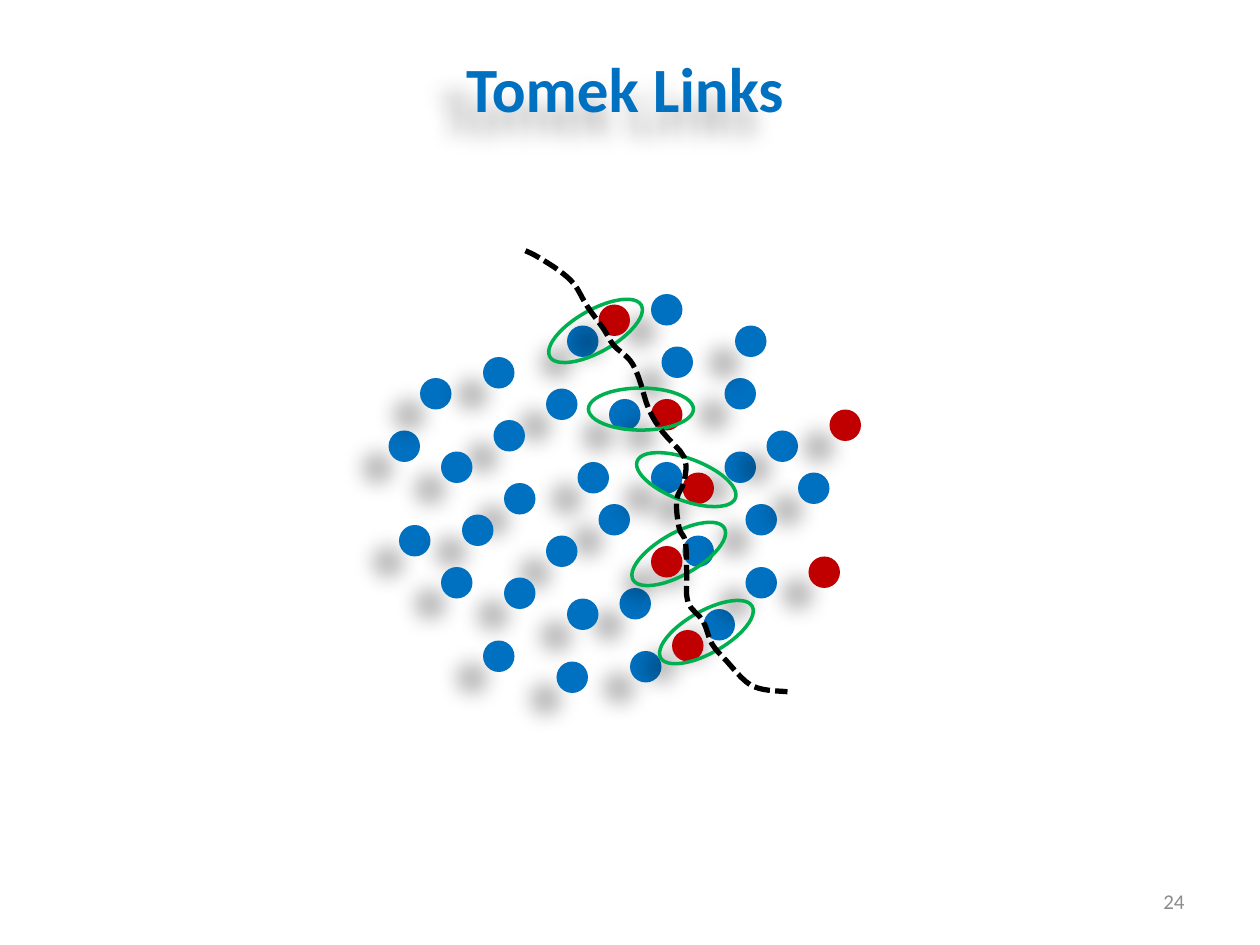
from lxml import etree
from pptx import Presentation
from pptx.dml.color import RGBColor
from pptx.enum.dml import MSO_LINE
from pptx.enum.shapes import MSO_SHAPE
from pptx.enum.text import MSO_ANCHOR, PP_ALIGN
from pptx.oxml.ns import qn
from pptx.util import Inches, Pt

OVAL = MSO_SHAPE.OVAL
DASH = MSO_LINE.SQUARE_DOT
TOP, MIDDLE = MSO_ANCHOR.TOP, MSO_ANCHOR.MIDDLE
CENTER, RIGHT = PP_ALIGN.CENTER, PP_ALIGN.RIGHT

BLUE = RGBColor(0x00, 0x70, 0xC0)
RED = RGBColor(0xC0, 0x00, 0x00)
GREEN = RGBColor(0x00, 0xB0, 0x50)
BLACK = RGBColor(0x00, 0x00, 0x00)
GRAY = RGBColor(0x8C, 0x8C, 0x8C)

GRID = 1 / 12
DOT_SIZE = 3 * GRID
LINK_WIDTH, LINK_HEIGHT = 10 * GRID, 4 * GRID
RISING, FALLING, LEVEL = 330.5, 20.6, 0
CURVE_STEPS = 4

SAMPLES = [
    (48, 46), (55, 44), (52, 37), (59, 56), (67, 58), (57, 48), (69, 43), (73, 41),
    (65, 51), (62, 28), (54, 31), (60, 62), (71, 48), (69, 36), (58, 38), (71, 54),
    (57, 29), (63, 33), (62, 44), (65, 45), (62, 38), (52, 51), (54, 57), (70, 31),
    (48, 55), (76, 45), (62, 52), (64, 60), (37, 41), (40, 36), (46, 34), (47, 40),
    (38, 50), (44, 49), (46, 61), (77, 53), (79, 39), (42, 43), (42, 54), (53, 63),
]
LINKED_MINORITY = {(57, 29), (62, 38), (65, 45), (62, 52), (64, 60)}
LONE_MINORITY = {(77, 53), (79, 39)}
MINORITY = LINKED_MINORITY | LONE_MINORITY

TOMEK_LINKS = [
    (4.31, 2.46, RISING), (5.03, 3.64, FALLING), (4.67, 3.08, LEVEL),
    (4.97, 4.23, RISING), (5.19, 4.85, RISING),
]

BOUNDARY_ANCHORS = [
    (4.17, 1.99), (4.27, 2.04), (4.44, 2.15), (4.56, 2.26), (4.66, 2.43),
    (4.79, 2.61), (4.87, 2.74), (5, 2.86), (5.07, 3), (5.15, 3.25),
    (5.26, 3.43), (5.43, 3.63), (5.43, 3.82), (5.37, 3.97), (5.39, 4.19),
    (5.44, 4.3), (5.45, 4.55), (5.46, 4.78), (5.58, 4.93), (5.65, 5.11),
    (5.77, 5.25), (5.92, 5.41), (6.05, 5.47), (6.25, 5.49),
]


def spline(a, b, c, d, t):
    return (2 * b + (c - a) * t + (2 * a - 5 * b + 4 * c - d) * t ** 2
            + (3 * b - a - 3 * c + d) * t ** 3) / 2


def smooth_curve(anchors, steps):
    padded = [anchors[0], *anchors, anchors[-1]]
    points = [anchors[0]]
    for segment in zip(padded, padded[1:], padded[2:], padded[3:]):
        xs, ys = zip(*segment)
        for step in range(1, steps + 1):
            t = step / steps
            points.append((spline(*xs, t), spline(*ys, t)))
    return points


class SlideBuilder:
    font = "Calibri"
    shadow_blur = Pt(11.8)
    shadow_distance = Pt(19.7)
    shadow_degrees = 141
    shadow_percent = 28

    def __init__(self, slide):
        self.s = slide

    def shadow(self, sp):
        sp.shadow.inherit = False
        effects = sp._element.spPr.find(qn("a:effectLst"))
        outer = etree.SubElement(
            effects, qn("a:outerShdw"), blurRad=str(self.shadow_blur),
            dist=str(self.shadow_distance), dir=str(self.shadow_degrees * 60000),
            algn="ctr", rotWithShape="0")
        color = etree.SubElement(outer, qn("a:srgbClr"), val=str(BLACK))
        etree.SubElement(color, qn("a:alpha"), val=str(self.shadow_percent * 1000))

    def text(self, box, text, size, color, align, anchor=TOP, bold=False):
        sp = self.s.shapes.add_textbox(*map(Inches, box))
        tf = sp.text_frame
        tf.word_wrap = True
        tf.vertical_anchor = anchor
        p = tf.paragraphs[0]
        p.alignment = align
        r = p.add_run()
        r.text = text
        r.font.name = self.font
        r.font.size = Pt(size)
        r.font.bold = bold
        r.font.color.rgb = color
        return sp

    def oval(self, x, y, width, height):
        return self.s.shapes.add_shape(OVAL, *map(Inches, (x, y, width, height)))

    def outline(self, sp, color, width):
        sp.shadow.inherit = False
        sp.fill.background()
        sp.line.color.rgb = color
        sp.line.width = Pt(width)

    def sample(self, col, row, color):
        sp = self.oval(col * GRID, row * GRID, DOT_SIZE, DOT_SIZE)
        sp.fill.solid()
        sp.fill.fore_color.rgb = color
        sp.line.fill.background()
        self.shadow(sp)

    def link(self, x, y, rotation):
        sp = self.oval(x, y, LINK_WIDTH, LINK_HEIGHT)
        sp.rotation = rotation
        self.outline(sp, GREEN, 2)

    def boundary(self, anchors):
        curve = smooth_curve(anchors, CURVE_STEPS)
        start, *rest = [(Inches(x), Inches(y)) for x, y in curve]
        fb = self.s.shapes.build_freeform(*start)
        fb.add_line_segments(rest, close=False)
        sp = fb.convert_to_shape()
        self.outline(sp, BLACK, 3)
        sp.line.dash_style = DASH


def main():
    prs = Presentation()
    prs.slide_width, prs.slide_height = Inches(10), Inches(7.5)
    b = SlideBuilder(prs.slides.add_slide(prs.slide_layouts[6]))
    title = b.text((0.5, 0.34, 8.92, 0.71), "Tomek Links", 36, BLUE, CENTER, bold=True)
    b.shadow(title)
    b.text((7.17, 6.95, 2.33, 0.4), "24", 12, GRAY, RIGHT, MIDDLE)
    for col, row in SAMPLES:
        b.sample(col, row, RED if (col, row) in MINORITY else BLUE)
    for x, y, rotation in TOMEK_LINKS:
        b.link(x, y, rotation)
    b.boundary(BOUNDARY_ANCHORS)
    prs.save("out.pptx")


if __name__ == "__main__":
    main()
